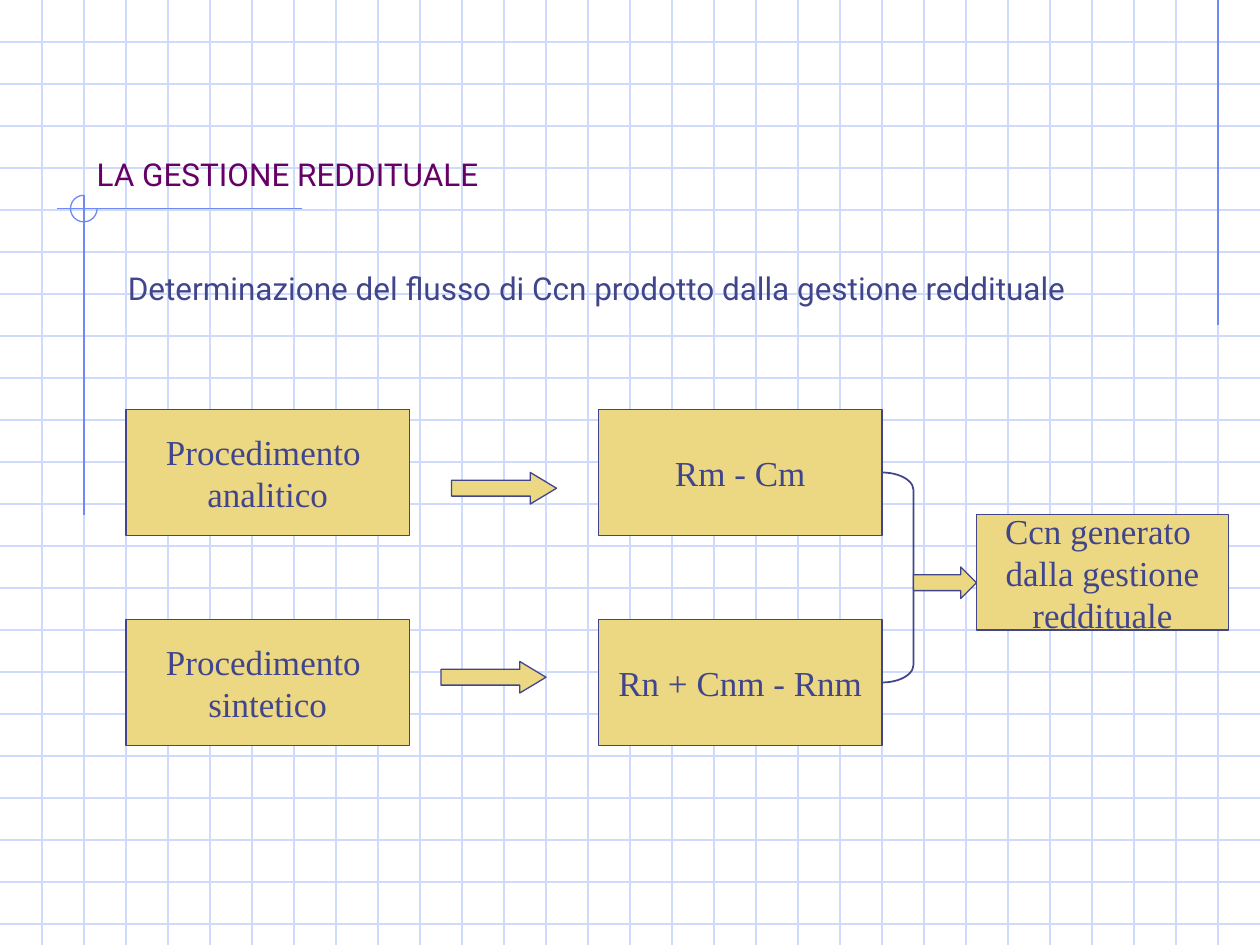
"""Build the slide on the cash flow of income management."""
from lxml import etree
from pptx import Presentation
from pptx.dml.color import RGBColor
from pptx.enum import shapes, text
from pptx.oxml.ns import qn
from pptx.util import Pt

INK, SAND, GRID, BLUE, PLUM = "40458C", "ECD882", "CFDBFD", "6F89F7", "660066"
WIDTH, HEIGHT, STEP = 720, 540, 24
rgb = RGBColor.from_string

prs = Presentation()
prs.slide_width, prs.slide_height = Pt(WIDTH), Pt(HEIGHT)
s = prs.slides.add_slide(prs.slide_layouts[5])


def add_shape(kind, box, line, fill=None, weight=0.75):
    sp = s.shapes.add_shape(kind, *map(Pt, box))
    sp.shadow.inherit = False
    sp.line.color.rgb = rgb(line)
    sp.line.width = Pt(weight)
    if fill:
        sp.fill.solid()
        sp.fill.fore_color.rgb = rgb(fill)
    else:
        sp.fill.background()
    return sp


def set_text(sp, lines, font, size, color, align, anchor, wrap):
    tf = sp.text_frame
    tf.text = "\n".join(lines)
    tf.word_wrap = wrap
    tf.auto_size = text.MSO_AUTO_SIZE.NONE
    tf.vertical_anchor = anchor
    for p in tf.paragraphs:
        p.alignment = align
        p.font.name = font
        p.font.size = Pt(size)
        p.font.color.rgb = rgb(color)


lines = [(0, y, WIDTH, y, GRID) for y in range(STEP, HEIGHT, STEP)]
lines += [(x, 0, x, HEIGHT, GRID) for x in range(STEP, WIDTH, STEP)]
lines += [(696, 0, 696, 186, BLUE), (172.8, 119.2, 32.4, 119.2, BLUE),
          (48, 111.6, 48, 294.5, BLUE)]
for x1, y1, x2, y2, color in lines:
    line = s.shapes.add_connector(
        shapes.MSO_CONNECTOR.STRAIGHT, Pt(x1), Pt(y1), Pt(x2), Pt(y2))
    line.line.color.rgb = rgb(color)
    line.line.width = Pt(0.75)
    etree.SubElement(line._element.spPr, qn("a:effectLst"))

arc = add_shape(shapes.MSO_SHAPE.ARC, (40.3, 111.6, 15.2, 15.2), BLUE)
arc.adjustments[0] = 0
arc.adjustments[1] = 162

title = s.shapes.title
title.left, title.top, title.width, title.height = map(Pt, (48, 24, 612, 90))
set_text(title, ["LA GESTIONE REDDITUALE"], "Roboto", 18, PLUM,
         text.PP_ALIGN.LEFT, text.MSO_ANCHOR.BOTTOM, True)
s.shapes._spTree.append(title._element)

subtitle = s.shapes.add_textbox(*map(Pt, (66, 150, 612, 324)))
set_text(subtitle,
         ["Determinazione del flusso di Ccn prodotto dalla gestione reddituale"],
         "Roboto", 18, INK, text.PP_ALIGN.LEFT, text.MSO_ANCHOR.TOP, True)
subtitle.text_frame.paragraphs[0].space_before = Pt(4.5)

boxes = [
    ((72, 234, 162, 72), ["Procedimento ", "analitico"]),
    ((72, 354, 162, 72), ["Procedimento ", "sintetico"]),
    ((342, 234, 162, 72), ["Rm - Cm"]),
    ((342, 354, 162, 72), ["Rn + Cnm - Rnm"]),
    ((558, 294, 144, 66), ["Ccn generato ", "dalla gestione", "reddituale"]),
]
for box, words in boxes:
    sp = add_shape(shapes.MSO_SHAPE.RECTANGLE, box, INK, SAND)
    set_text(sp, words, "Times New Roman", 20, INK,
             text.PP_ALIGN.CENTER, text.MSO_ANCHOR.MIDDLE, False)

bracket = add_shape(shapes.MSO_SHAPE.RIGHT_BRACKET, (504, 270, 18, 120), INK, weight=1)
bracket.adjustments[0] = 0.56

for x, y, width, head in [(258, 270, 60, 0.83), (252, 378, 60, 0.83), (522, 324, 36, 0.5)]:
    arrow = add_shape(shapes.MSO_SHAPE.RIGHT_ARROW, (x, y, width, 18), INK, SAND)
    arrow.adjustments[1] = head

prs.save("out.pptx")
